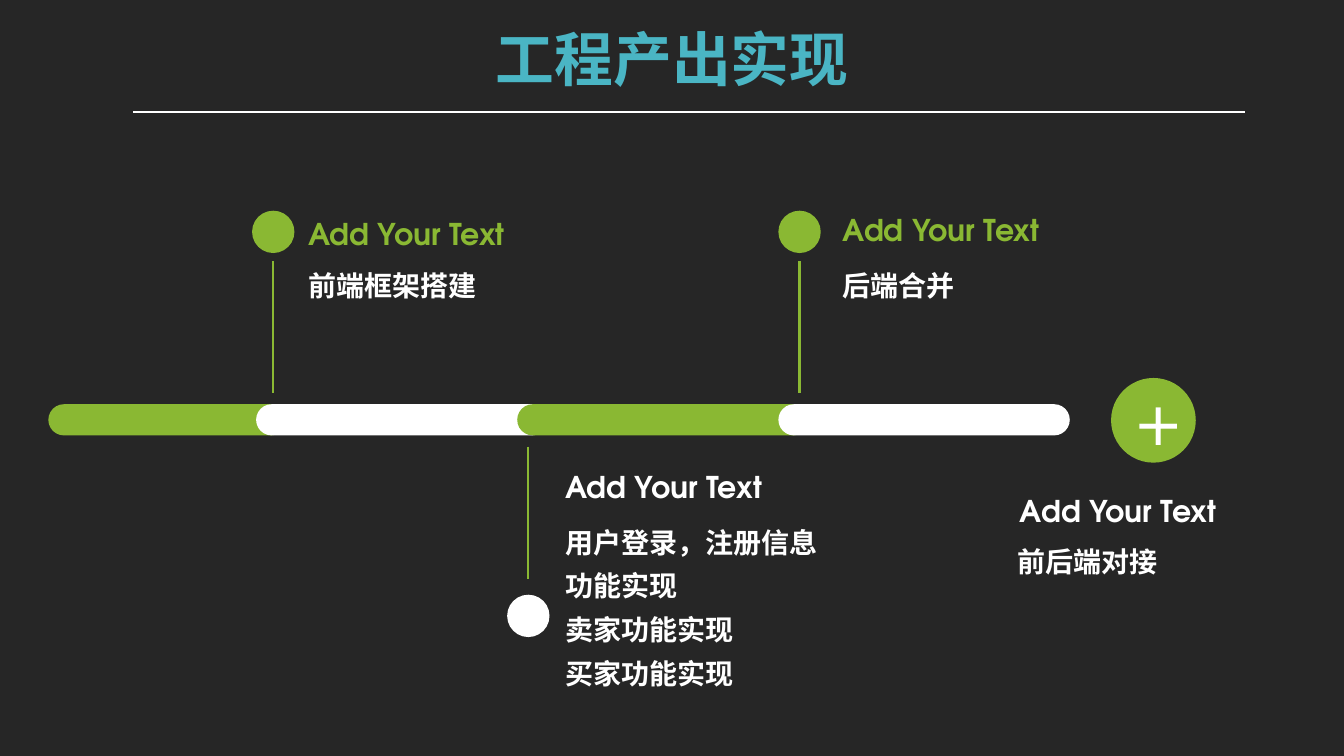
from lxml import etree
from pptx import Presentation
from pptx.dml.color import RGBColor
from pptx.enum.shapes import MSO_CONNECTOR, MSO_SHAPE
from pptx.enum.text import MSO_ANCHOR, PP_ALIGN
from pptx.oxml.ns import qn
from pptx.util import Inches, Pt

STRAIGHT = MSO_CONNECTOR.STRAIGHT
OVAL, ROUNDED = MSO_SHAPE.OVAL, MSO_SHAPE.ROUNDED_RECTANGLE
LEFT, CENTER = PP_ALIGN.LEFT, PP_ALIGN.CENTER
TOP, MIDDLE = MSO_ANCHOR.TOP, MSO_ANCHOR.MIDDLE

DARK = RGBColor(0x26, 0x26, 0x26)
GREEN = RGBColor(0x8A, 0xB8, 0x33)
TEAL = RGBColor(0x4A, 0xB5, 0xC4)
WHITE = RGBColor(0xFF, 0xFF, 0xFF)
FONT = "TeX Gyre Adventor"

TITLE = "工程产出实现"
HEADING = "Add Your Text"
BARS = [(0.48, 2.36, GREEN), (2.54, 2.89, WHITE), (5.13, 2.89, GREEN), (7.72, 2.89, WHITE)]
BAR_TOP, BAR_HEIGHT = 4.01, 0.31
DOT, STEM = 0.42, 1.31
MILESTONES = [
    (2.71, 2.09, 2.59, GREEN),
    (5.24, 5.9, 4.43, WHITE),
    (7.93, 2.09, 2.59, GREEN),
]
HEADINGS = [
    (2.96, 2.09, GREEN, LEFT),
    (5.51, 4.6, WHITE, LEFT),
    (8.26, 2.05, GREEN, LEFT),
    (9.68, 4.84, WHITE, CENTER),
]
DETAILS = [
    (2.96, 2.51, ["前端框架搭建"]),
    (5.51, 5.06, ["用户登录，注册信息功能实现", "卖家功能实现", "买家功能实现"]),
    (8.26, 2.51, ["后端合并"]),
    (9.99, 5.25, ["前后端对接"]),
]


def add_filled(page, kind, left, top, width, height, color):
    shape = page.shapes.add_shape(kind, Inches(left), Inches(top), Inches(width), Inches(height))
    shape.shadow.inherit = False
    shape.fill.solid()
    shape.fill.fore_color.rgb = color
    shape.line.fill.background()
    return shape


def add_rule(page, start, end, color, weight):
    rule = page.shapes.add_connector(STRAIGHT, *(Inches(value) for value in start + end))
    rule.line.color.rgb = color
    rule.line.width = Pt(weight)
    etree.SubElement(rule._element.spPr, qn("a:effectLst"))


def write(frame, lines, size, color, bold=True, align=LEFT, spacing=1.0):
    for index, line in enumerate(lines):
        para = frame.add_paragraph() if index else frame.paragraphs[0]
        para.alignment = align
        para.line_spacing = spacing
        span = para.add_run()
        span.text = line
        span.font.name = FONT
        span.font.size = Pt(size)
        span.font.bold = bold
        span.font.color.rgb = color
        etree.SubElement(span.font._element, qn("a:ea"), typeface=FONT)


def add_text(page, left, top, width, height, lines, size, color, wrap=True, **style):
    box = page.shapes.add_textbox(Inches(left), Inches(top), Inches(width), Inches(height))
    box.text_frame.word_wrap = wrap
    box.text_frame.vertical_anchor = TOP
    write(box.text_frame, lines, size, color, **style)


def main():
    deck = Presentation()
    deck.slide_width, deck.slide_height = Inches(13.33), Inches(7.5)
    page = deck.slides.add_slide(deck.slide_layouts[5])
    page.background.fill.solid()
    page.background.fill.fore_color.rgb = DARK

    title = page.shapes.title
    title.left, title.top = Inches(2.12), Inches(0.17)
    title.width, title.height = Inches(9.09), Inches(0.81)
    title.text_frame.vertical_anchor = MIDDLE
    write(title.text_frame, [TITLE], 42, TEAL, align=CENTER)
    add_rule(page, (1.32, 1.11), (12.35, 1.11), WHITE, 1)

    for left, width, color in BARS:
        bar = add_filled(page, ROUNDED, left, BAR_TOP, width, BAR_HEIGHT, color)
        bar.adjustments[0] = 0.5

    for center, dot_top, stem_top, color in MILESTONES:
        add_filled(page, OVAL, center - DOT / 2, dot_top, DOT, DOT, color)
        add_rule(page, (center, stem_top), (center, stem_top + STEM), GREEN, 1.5)

    for left, top, color, align in HEADINGS:
        add_text(page, left, top, 2.82, 0.46, [HEADING], 21.4, color, align=align)

    for left, top, lines in DETAILS:
        height = 0.54 if len(lines) == 1 else 1.85
        add_text(page, left, top, 2.92, height, lines, 20, WHITE, spacing=1.3)

    add_filled(page, OVAL, 11.02, 3.75, 0.84, 0.84, GREEN)
    add_text(page, 11.15, 3.77, 0.61, 0.83, ["+"], 48, WHITE, wrap=False, bold=False, spacing=0.9)

    deck.save("out.pptx")


if __name__ == "__main__":
    main()
